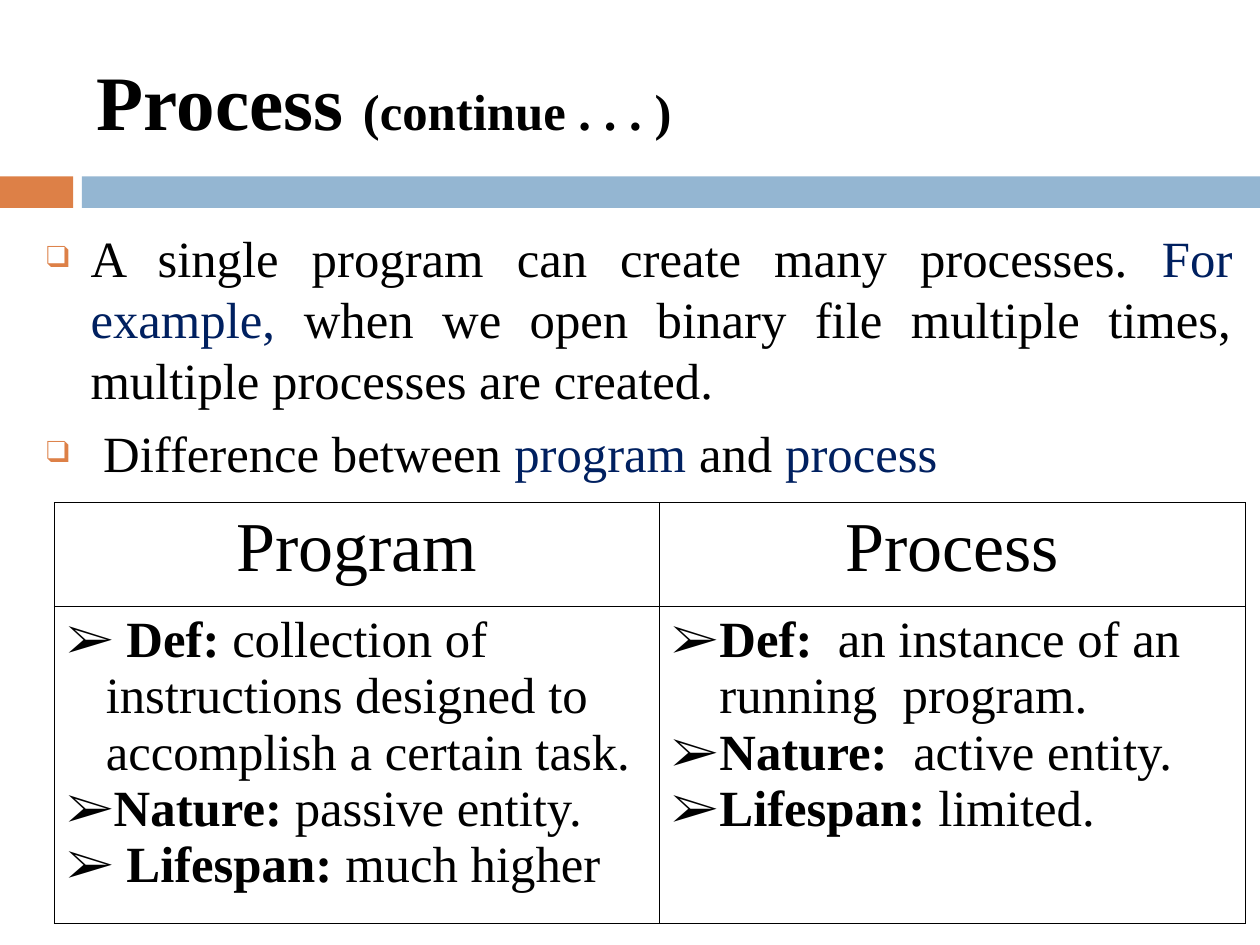
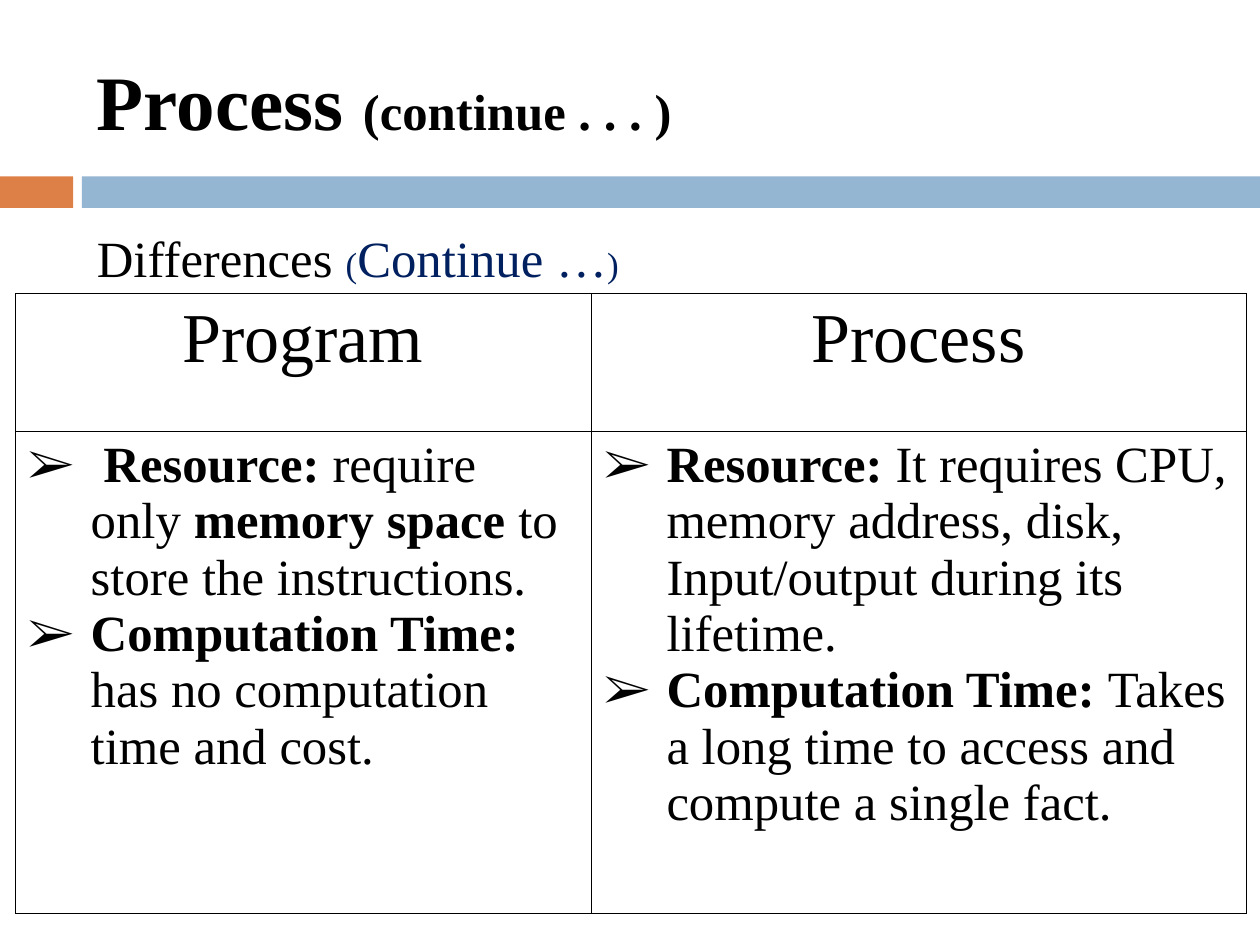
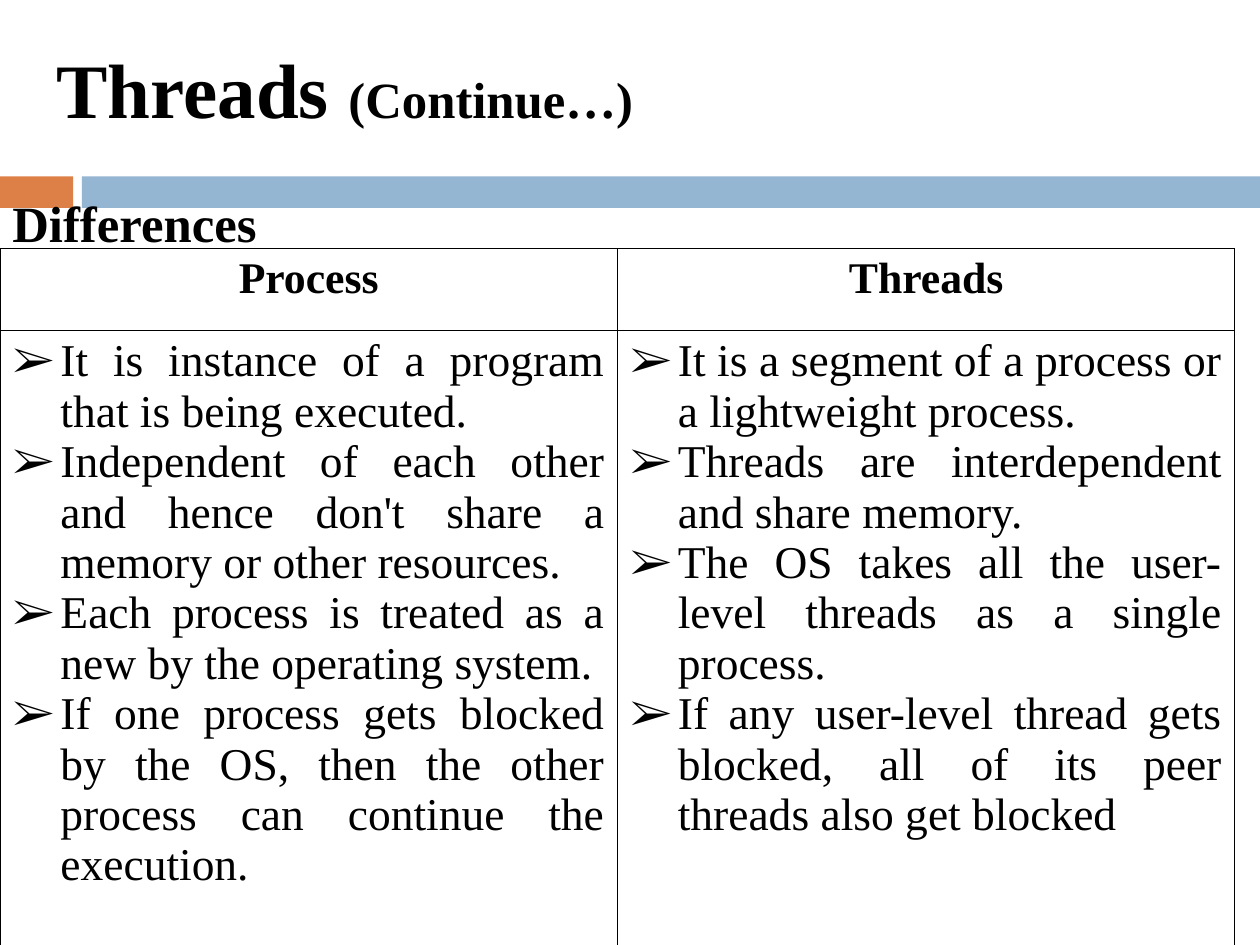
import pptx
import pptx.dml.color
import pptx.enum.shapes
import pptx.enum.text
import pptx.oxml
import pptx.oxml.ns
import pptx.util

RGB = pptx.dml.color.RGBColor
BLACK = RGB(0x00, 0x00, 0x00)
NAVY = RGB(0x00, 0x20, 0x60)
ORANGE = RGB(0xDD, 0x80, 0x47)
BLUE = RGB(0x94, 0xB6, 0xD2)
FACE = "Times New Roman"
ALIGN = pptx.enum.text.PP_ALIGN
ANCHOR = pptx.enum.text.MSO_ANCHOR
NS = pptx.oxml.ns.nsdecls("a")

# Run formats
BOLD = {"bold": True}
DARK = {"color": NAVY}
SMALL = {"color": NAVY, "size": 20}
SUB = {"size": 29}

deck = pptx.Presentation()
deck.slide_width = pptx.util.Inches(10)
deck.slide_height = pptx.util.Inches(7.5)
# The grid has 100 columns and 75 rows
COL = deck.slide_width / 100
ROW = deck.slide_height / 75


def put(frame, paras, size=29, bold=False, color=BLACK, align=ALIGN.LEFT,
        gap=0, mark=None, tint=BLACK, scale=100, hang=0):
    """Write paragraphs, each a list of strings or (string, format) pairs."""
    frame.word_wrap = True
    for n, runs in enumerate(paras):
        para = frame.add_paragraph() if n else frame.paragraphs[0]
        para.alignment = align
        para.space_before = pptx.util.Pt(gap if n else 0)
        if mark:
            props = para._p.get_or_add_pPr()
            props.set("marL", str(round(hang * COL)))
            props.set("indent", str(-round(hang * COL)))
            for xml in (f'<a:buClr {NS}><a:srgbClr val="{tint}"/></a:buClr>',
                        f'<a:buSzPct {NS} val="{scale * 1000}"/>',
                        f'<a:buFont {NS} typeface="{FACE}"/>',
                        f'<a:buChar {NS} char="{mark}"/>'):
                props.append(pptx.oxml.parse_xml(xml))
        para.font.size = pptx.util.Pt(size)
        for item in runs:
            text, own = (item, {}) if isinstance(item, str) else item
            run = para.add_run()
            run.text = text
            run.font.name = FACE
            run.font.size = pptx.util.Pt(own.get("size", size))
            run.font.bold = own.get("bold", bold)
            run.font.color.rgb = own.get("color", color)


def area(x, y, wide, high):
    """Turn grid columns and rows into slide lengths."""
    return [round(v) for v in (x * COL, y * ROW, wide * COL, high * ROW)]


HEAD = [["Process ", ("(continue . . . )", SUB)]]
pages = [
    {
        "title": HEAD, "spot": (6.7, 2.5, 89.2, 10.8),
        "body": [
            ["A single program can create many processes. ",
             ("For example, ", DARK),
             "when we open binary file multiple times, "
             "multiple processes are created. "],
            [" Difference between ", ("program", DARK), " and ",
             ("process", DARK)]],
        "place": (2.7, 17.5, 96.1, 55),
        "look": {"align": ALIGN.JUSTIFY, "gap": 7, "mark": "❑",
                 "tint": ORANGE, "scale": 60, "hang": 3.5},
        "grid": (4.3, 39.9), "cols": (48, 46.5), "rows": (8.2, 25.2),
        "heads": ("Program", "Process"), "top": {"size": 40},
        "cells": [
            [[" ", ("Def: ", BOLD), "collection of instructions designed to "
              "accomplish a certain task."],
             [("Nature: ", BOLD), "passive entity."],
             [" ", ("Lifespan: ", BOLD), "much higher"]],
            [[("Def: ", BOLD), " an instance of an running  program."],
             [("Nature:  ", BOLD), "active entity."],
             [("Lifespan: ", BOLD), "limited."]]],
        "hangs": (3.1, 3.8), "list": {},
    },
    {
        "title": HEAD, "spot": (6.7, 2.5, 89.2, 10.8),
        "body": [["Differences ", ("(", SMALL), ("Continue …", DARK),
                  (")", SMALL)]],
        "place": (6.7, 17.5, 89.2, 49.2), "look": {},
        "grid": (1.2, 23.3), "cols": (45.7, 52), "rows": (10.9, 38.3),
        "heads": ("Program", "Process"), "top": {"size": 40},
        "cells": [
            [[" ", ("Resource: ", BOLD), "require only ",
              ("memory space ", BOLD), "to store the instructions."],
             [("Computation Time: ", BOLD),
              " has no computation time and cost."]],
            [[("Resource: ", BOLD), "It requires CPU, memory address, disk, "
              "Input/output during its lifetime."],
             [("Computation Time: ", BOLD), "Takes a long time to access and "
              "compute a single fact."]]],
        "hangs": (5, 5), "list": {},
    },
    {
        "title": [["Threads ", ("(Continue…)", SUB)]],
        "spot": (3.5, 2.5, 92.3, 9),
        "body": [["Differences"]],
        "place": (0, 14.7, 98, 55.4), "look": BOLD,
        "grid": (0, 19.7), "cols": (49, 49), "rows": (6.5, 48.8),
        "heads": ("Process", "Threads"), "top": {"size": 25, "bold": True},
        "cells": [
            [["It is instance of a program that is being executed."],
             ["Independent of each other and hence don't share a memory "
              "or other resources."],
             ["Each process is treated as a new by the operating system."],
             ["If one process gets blocked by the OS, then the other process "
              "can continue the execution."]],
            [["It is a segment of a process or a lightweight process."],
             ["Threads are interdependent and share memory."],
             ["The OS takes all the user-level threads as a single process."],
             ["If any user-level thread gets blocked, all of its peer threads "
              "also get blocked"]]],
        "hangs": (3.8, 3.8), "list": {"size": 26, "align": ALIGN.JUSTIFY},
    },
]

for page in pages:
    slide = deck.slides.add_slide(deck.slide_layouts[6])
    shapes = slide.shapes

    # Bands under the title
    for x, wide, color in ((0, 5.8, ORANGE), (6.5, 93.5, BLUE)):
        band = shapes.add_shape(pptx.enum.shapes.MSO_SHAPE.RECTANGLE,
                                *area(x, 14, wide, 2.5))
        band.shadow.inherit = False
        band.fill.solid()
        band.fill.fore_color.rgb = color
        band.line.fill.background()

    # Title
    frame = shapes.add_textbox(*area(*page["spot"])).text_frame
    frame.vertical_anchor = ANCHOR.MIDDLE
    put(frame, page["title"], size=44, bold=True)

    # Body text
    frame = shapes.add_textbox(*area(*page["place"])).text_frame
    put(frame, page["body"], **page["look"])

    # Table: a header row above two lists
    cols, rows = page["cols"], page["rows"]
    table = shapes.add_table(
        2, 2, *area(*page["grid"], sum(cols), sum(rows))).table
    table.first_row = table.horz_banding = False
    for n in range(2):
        table.columns[n].width = round(cols[n] * COL)
        table.rows[n].height = round(rows[n] * ROW)
        put(table.cell(0, n).text_frame, [[page["heads"][n]]],
            align=ALIGN.CENTER, **page["top"])
        put(table.cell(1, n).text_frame, page["cells"][n],
            mark="➢", hang=page["hangs"][n], **page["list"])

    # Cell borders
    for cell in table.iter_cells():
        cell.fill.background()
        props = cell._tc.get_or_add_tcPr()
        for n, side in enumerate("LRTB"):
            props.insert(n, pptx.oxml.parse_xml(
                f'<a:ln{side} {NS} w="{pptx.util.Pt(0.45)}"><a:solidFill>'
                f'<a:srgbClr val="{BLACK}"/></a:solidFill></a:ln{side}>'))

deck.save("out.pptx")
